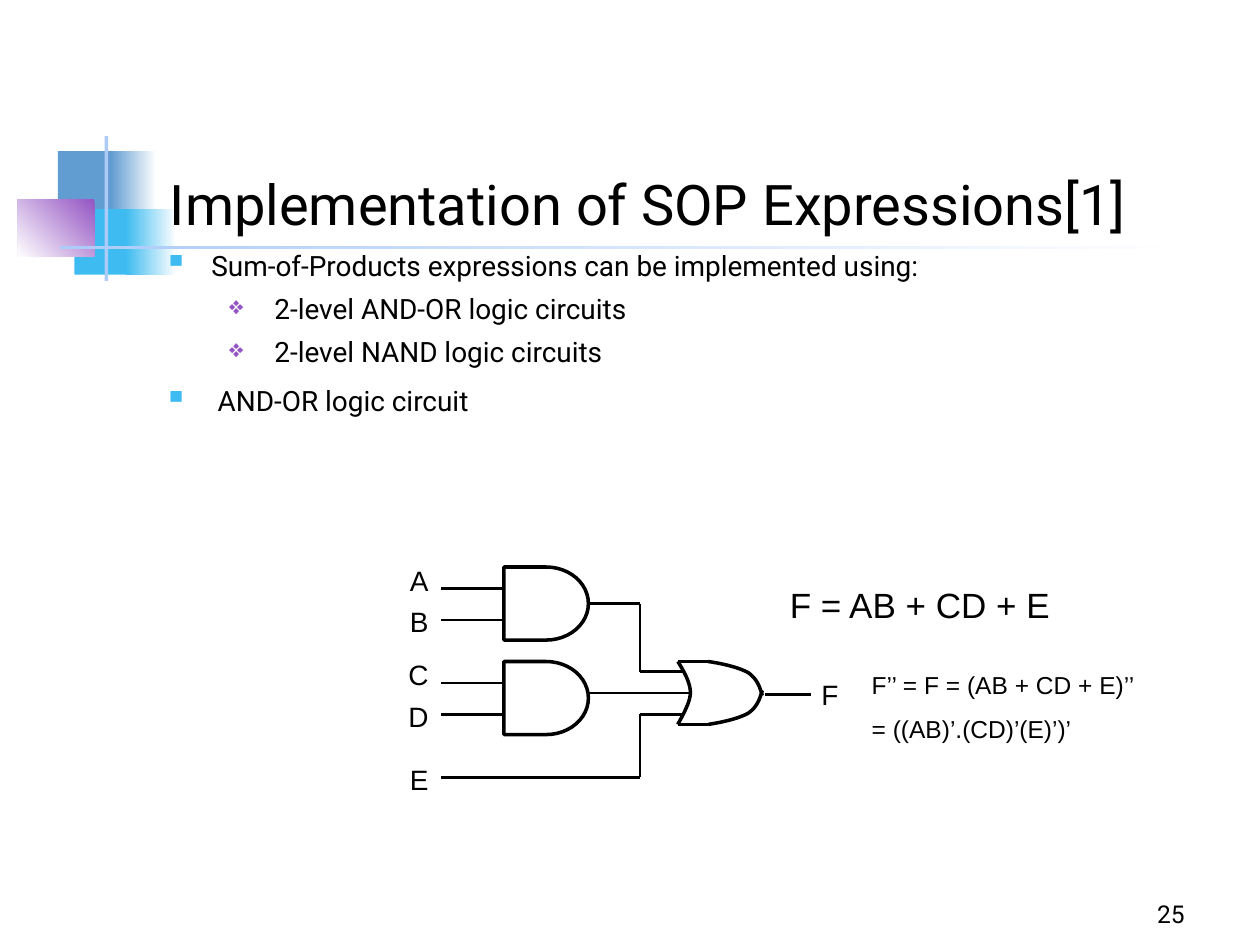
from dataclasses import dataclass

from lxml.etree import SubElement
from pptx import Presentation
from pptx.dml.color import RGBColor
from pptx.enum.shapes import MSO_CONNECTOR as Connector, MSO_SHAPE as Shape
from pptx.enum.text import MSO_ANCHOR as Anchor, PP_ALIGN as Align
from pptx.oxml.ns import qn
from pptx.util import Inches, Pt


@dataclass(frozen=True)
class Theme:
    black: str = "000000"
    white: str = "FFFFFF"
    blue: str = "629DD1"
    cyan: str = "3EBBF0"
    purple: str = "9454C3"
    pale: str = "ACCBF9"
    heading: str = "Roboto"
    diagram: str = "Arial"
    title: int = 32
    formula: int = 20
    body: int = 16
    small: int = 14
    wire: float = 1.5
    outline: float = 2


THEME = Theme()

DECORATIONS = [
    ((0.46, 1.2, 0.48, 0.52), (THEME.blue,), 0),
    ((0.88, 1.2, 0.36, 0.52), (THEME.white, THEME.blue), 180),
    ((0.59, 1.66, 0.46, 0.52), (THEME.cyan,), 0),
    ((1, 1.66, 0.4, 0.52), (THEME.white, THEME.cyan), 180),
    ((0.14, 1.58, 0.61, 0.46), (THEME.purple, THEME.white), 225),
    ((0.83, 1.08, 0.03, 1.15), (THEME.pale,), 0),
    ((0.48, 1.95, 9, 0.03), (THEME.white, THEME.pale), 180),
]
TITLE = "Implementation of SOP Expressions[1]"
SQUARE = ("▪", THEME.cyan, 120)
DIAMOND = ("❖", THEME.purple, 90)
BULLETS = [
    ("Sum-of-Products expressions can be implemented using:", 0, 0.5, -0.38, 0, SQUARE),
    ("2-level AND-OR logic circuits", 1, 1, -0.36, 5.6, DIAMOND),
    ("2-level NAND logic circuits", 1, 1, -0.36, 5.6, DIAMOND),
    ("AND-OR logic circuit", 0, 0.55, -0.43, 8.5, SQUARE),
]
FORMULA = "F = AB + CD + E"
DERIVATION = ["F’’ = F = (AB + CD + E)’’", "= ((AB)’.(CD)’(E)’)’"]
PAGE_NUMBER = "25"

AND_GATES = [(4.5, "AB"), (5.25, "CD")]
GATE_LEFT, GATE_WIDTH, GATE_HEIGHT = 4, 0.67, 0.58
INPUT_OFFSETS = (0.17, 0.42)
LABEL_OFFSETS = (-0.08, 0.25)
INPUT_LEFT, BUS = 3.5, 5.08
LABEL_LEFT, LABEL_WIDTH, LABEL_HEIGHT = 3.08, 0.42, 0.37
E_WIRE, E_LABEL = 6.17, 6
OR_LEFT, OR_SHOULDER, OR_TOP, OR_MIDDLE, OR_BOTTOM = 5.38, 5.62, 5.25, 5.5, 5.75
WIRES = [
    ((BUS, 4.79), (BUS, 5.33)),
    ((BUS, 5.33), (5.42, 5.33)),
    ((GATE_LEFT + GATE_WIDTH, OR_MIDDLE), (5.48, OR_MIDDLE)),
    ((BUS, 5.67), (5.42, 5.67)),
    ((BUS, 5.67), (BUS, E_WIRE)),
    ((INPUT_LEFT, E_WIRE), (BUS, E_WIRE)),
    ((6.07, 5.51), (6.44, 5.51)),
]
OR_BACK = [
    [(OR_LEFT, OR_TOP), (5.43, 5.33), (5.48, 5.42), (5.48, OR_MIDDLE)],
    [(5.48, OR_MIDDLE), (5.48, 5.58), (5.4, 5.71), (OR_LEFT, OR_BOTTOM)],
]
OR_NOSE = [
    [(OR_SHOULDER, OR_TOP), (5.75, 5.27), (5.87, 5.3), (5.94, 5.34)],
    [(5.94, 5.34), (6.01, 5.39), (6.03, 5.45), (6.05, 5.52)],
]


def colour(value):
    return RGBColor.from_string(value)


def add_decoration(page, area, colours, angle):
    block = page.shapes.add_shape(Shape.RECTANGLE, *map(Inches, area))
    block.shadow.inherit = False
    block.line.fill.background()
    if len(colours) == 1:
        block.fill.solid()
        block.fill.fore_color.rgb = colour(colours[0])
        return
    block.fill.gradient()
    block.fill.gradient_angle = angle
    for stop, value in zip(block.fill.gradient_stops, colours):
        stop.color.rgb = colour(value)


def add_bullet(para, left, hanging, bullet):
    character, tint, percent = bullet
    properties = para._p.get_or_add_pPr()
    properties.set("marL", str(Inches(left)))
    properties.set("indent", str(Inches(hanging)))
    holder = SubElement(properties, qn("a:buClr"))
    SubElement(holder, qn("a:srgbClr")).set("val", tint)
    SubElement(properties, qn("a:buSzPct")).set("val", str(percent * 1000))
    SubElement(properties, qn("a:buChar")).set("char", character)


def write(para, text, *, size=THEME.body, face=THEME.diagram, align=Align.LEFT, before=0):
    para.alignment = align
    para.space_before = Pt(before)
    span = para.add_run()
    span.text = text
    span.font.size = Pt(size)
    span.font.name = face
    span.font.color.rgb = colour(THEME.black)


def add_box(page, area, anchor=Anchor.TOP):
    frame = page.shapes.add_textbox(*map(Inches, area)).text_frame
    frame.word_wrap = True
    frame.vertical_anchor = anchor
    return frame


def add_text(page, area, text, *, anchor=Anchor.TOP, **style):
    write(add_box(page, area, anchor).paragraphs[0], text, **style)


def add_line(page, start, end, width=THEME.wire):
    line = page.shapes.add_connector(Connector.STRAIGHT, *map(Inches, start + end))
    line.line.color.rgb = colour(THEME.black)
    line.line.width = Pt(width)
    SubElement(line._element.spPr, qn("a:effectLst"))
    return line


def outline(shape):
    shape.shadow.inherit = False
    shape.fill.background()
    shape.line.color.rgb = colour(THEME.black)
    shape.line.width = Pt(THEME.outline)


def curve_point(curve, t):
    weights = ((1 - t) ** 3, 3 * t * (1 - t) ** 2, 3 * t * t * (1 - t), t ** 3)
    return tuple(Inches(sum(w * p[axis] for w, p in zip(weights, curve))) for axis in (0, 1))


def add_curve(page, curves, steps=12):
    points = [curve_point(curve, step / steps) for curve in curves for step in range(1, steps + 1)]
    builder = page.shapes.build_freeform(*map(Inches, curves[0][0]))
    builder.add_line_segments(points, close=False)
    outline(builder.convert_to_shape())


def add_label(page, text, top):
    add_text(page, (LABEL_LEFT, top, LABEL_WIDTH, LABEL_HEIGHT), text, align=Align.RIGHT)


def add_circuit(page):
    gates = []
    for top, names in AND_GATES:
        area = (GATE_LEFT, top, GATE_WIDTH, GATE_HEIGHT)
        gate = page.shapes.add_shape(Shape.FLOWCHART_DELAY, *map(Inches, area))
        outline(gate)
        gates.append(gate)
        for name, wire, label in zip(names, INPUT_OFFSETS, LABEL_OFFSETS):
            add_line(page, (INPUT_LEFT, top + wire), (GATE_LEFT, top + wire))
            add_label(page, name, top + label)
    add_label(page, "E", E_LABEL)
    output = add_line(page, (GATE_LEFT + GATE_WIDTH, 4.79), (BUS, 4.79))
    output.begin_connect(gates[0], 3)
    for start, end in WIRES:
        add_line(page, start, end)
    for y in (OR_TOP, OR_BOTTOM):
        add_line(page, (OR_LEFT, y), (OR_SHOULDER, y), THEME.outline)
    mirrored = [[(x, 2 * OR_MIDDLE - y) for x, y in curve] for curve in OR_NOSE]
    for curves in (OR_BACK, OR_NOSE, mirrored):
        add_curve(page, curves)
    add_text(page, (6.42, 5.33, 0.48, LABEL_HEIGHT), "F")


def main():
    """Build the slide on implementing sum-of-products expressions."""
    deck = Presentation()
    deck.slide_width, deck.slide_height = Inches(10), Inches(7.5)
    page = deck.slides.add_slide(deck.slide_layouts[6])
    for decoration in DECORATIONS:
        add_decoration(page, *decoration)
    add_text(page, (1.25, 1.1, 8.5, 0.83), TITLE, anchor=Anchor.BOTTOM,
             size=THEME.title, face=THEME.heading)
    body = add_box(page, (1.08, 1.92, 8.5, 2.38))
    for index, (text, level, left, hanging, before, bullet) in enumerate(BULLETS):
        para = body.add_paragraph() if index else body.paragraphs[0]
        para.level = level
        add_bullet(para, left, hanging, bullet)
        write(para, text, face=THEME.heading, before=before)
    add_text(page, (6.17, 4.58, 2.42, 0.43), FORMULA, size=THEME.formula)
    add_circuit(page)
    add_text(page, (7.42, 6.92, 2.08, 0.5), PAGE_NUMBER, anchor=Anchor.BOTTOM,
             size=THEME.small, face=THEME.heading, align=Align.RIGHT)
    derivation = add_box(page, (6.82, 5.27, 2.46, 0.69))
    for index, text in enumerate(DERIVATION):
        para = derivation.add_paragraph() if index else derivation.paragraphs[0]
        write(para, text, size=THEME.small, before=8 * index)
    deck.save("out.pptx")


if __name__ == "__main__":
    main()
